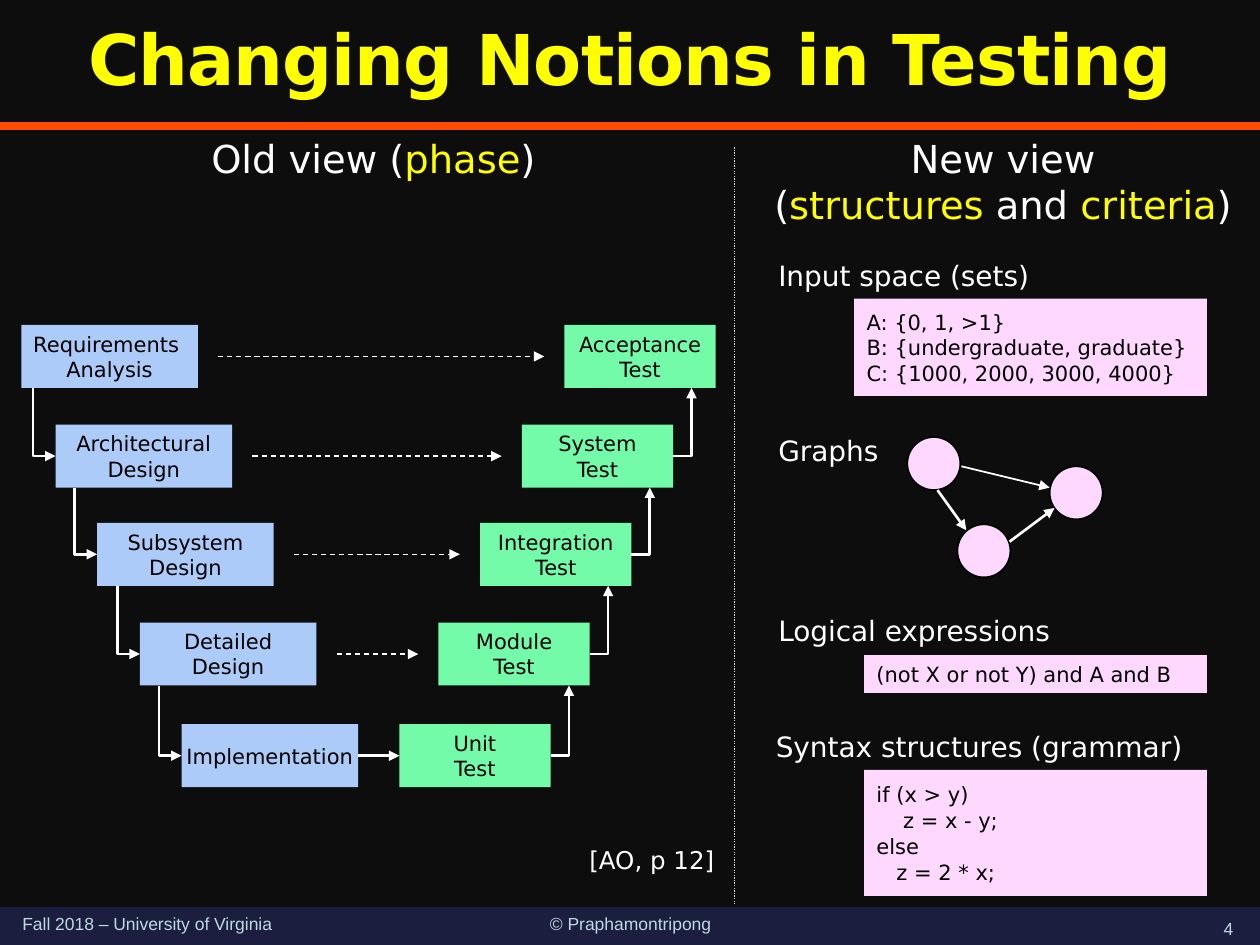
from dataclasses import dataclass
from itertools import pairwise

from lxml.etree import SubElement
from pptx import Presentation
from pptx.dml.color import RGBColor
from pptx.enum.dml import MSO_LINE
from pptx.enum.shapes import MSO_CONNECTOR, MSO_SHAPE
from pptx.enum.text import MSO_ANCHOR, MSO_AUTO_SIZE, PP_ALIGN
from pptx.oxml.ns import qn
from pptx.util import Cm, Pt


@dataclass(frozen=True)
class Theme:
    font: str = "DejaVu Sans"
    footer_font: str = "Arial"
    back: str = "0D0D0D"
    text: str = "FFFFFF"
    accent: str = "FFFF00"
    dark: str = "000000"
    rule: str = "FF4C00"
    band: str = "1B1E3E"
    footer: str = "BDDADF"
    divider: str = "D9D9D9"
    phase: str = "ACCBF9"
    test: str = "73FBA9"
    example: str = "FFD8FF"
    title_size: int = 40
    head_size: int = 22
    label_size: int = 16
    ref_size: int = 14
    box_size: int = 12
    footer_size: int = 10


class Deck:
    """Holds the theme and the current slide, and draws elements in cm."""

    def __init__(self, theme):
        self.t = theme
        self.prs = Presentation()
        self.prs.slide_width, self.prs.slide_height = Cm(25.4), Cm(19.05)
        self.s = self.prs.slides.add_slide(self.prs.slide_layouts[5])
        self.s.background.fill.solid()
        self.s.background.fill.fore_color.rgb = RGBColor.from_string(theme.back)

    def fill_text(self, tf, lines, size, color, align=PP_ALIGN.LEFT, font=None,
                  anchor=MSO_ANCHOR.TOP, wrap=True, spacing=None):
        """Fill a frame; parts between bars take the accent colour."""
        tf.word_wrap = wrap
        tf.vertical_anchor = anchor
        for i, line in enumerate(lines):
            p = tf.add_paragraph() if i else tf.paragraphs[0]
            p.alignment = align
            p.line_spacing = spacing
            for j, part in enumerate(line.split("|")):
                r = p.add_run()
                r.text = part
                r.font.name = font or self.t.font
                r.font.size = Pt(size)
                r.font.color.rgb = RGBColor.from_string(self.t.accent if j % 2 else color)

    def title(self, text, x, y, w, h):
        sp = self.s.shapes.title
        sp.left, sp.top, sp.width, sp.height = Cm(x), Cm(y), Cm(w), Cm(h)
        tf = sp.text_frame
        self.fill_text(tf, [text], self.t.title_size, self.t.accent, PP_ALIGN.CENTER,
                       anchor=MSO_ANCHOR.MIDDLE, spacing=0.9)
        tf.auto_size = MSO_AUTO_SIZE.NONE
        r = tf.paragraphs[0].runs[0]
        r.font.bold = True
        r.font._element.set("spc", "-50")

    def label(self, lines, x, y, w, h, size, color=None, **style):
        sp = self.s.shapes.add_textbox(Cm(x), Cm(y), Cm(w), Cm(h))
        self.fill_text(sp.text_frame, lines, size, color or self.t.text, **style)

    def shape(self, x, y, w, h, fill, kind=MSO_SHAPE.RECTANGLE, outline=None):
        sp = self.s.shapes.add_shape(kind, Cm(x), Cm(y), Cm(w), Cm(h))
        sp.shadow.inherit = False
        sp.fill.solid()
        sp.fill.fore_color.rgb = RGBColor.from_string(fill)
        if outline:
            sp.line.color.rgb = RGBColor.from_string(outline)
            sp.line.width = Pt(1)
        else:
            sp.line.fill.background()
        return sp

    def box(self, lines, x, y, w, h, fill, **style):
        sp = self.shape(x, y, w, h, fill)
        self.fill_text(sp.text_frame, lines, self.t.box_size, self.t.dark,
                       anchor=MSO_ANCHOR.MIDDLE, **style)
        return sp

    def line(self, x1, y1, x2, y2, width=1.5, color=None, dash=None, arrow=None, elbow=False):
        """Draw a line; an elbow leaves its start sideways and ends upright."""
        kind = MSO_CONNECTOR.ELBOW if elbow else MSO_CONNECTOR.STRAIGHT
        cx = self.s.shapes.add_connector(kind, Cm(x1), Cm(y1), Cm(x2), Cm(y2))
        cx.line.color.rgb = RGBColor.from_string(color or self.t.text)
        cx.line.width = Pt(width)
        if dash:
            cx.line.dash_style = dash
        spPr = cx._element.spPr
        if elbow:
            spPr.find(qn("a:prstGeom")).set("prst", "bentConnector2")
        if arrow:
            SubElement(spPr.find(qn("a:ln")), qn(f"a:{arrow}"), type="triangle")
        SubElement(spPr, qn("a:effectLst"))
        return cx


def draw_frame(d):
    t = d.t
    d.title("Changing Notions in Testing", 0, 0, 25.4, 2.54)
    d.line(0, 2.54, 25.4, 2.54, 4.5, t.rule)
    d.shape(0, 18.29, 25.4, 0.76, t.band)
    for text, x, y, w, align, anchor in [
        ("Fall 2018 – University of Virginia", 0.2, 18.29, 6.35, PP_ALIGN.LEFT, MSO_ANCHOR.TOP),
        ("© Praphamontripong", 9.32, 18.29, 6.78, PP_ALIGN.CENTER, MSO_ANCHOR.TOP),
        ("4", 24.13, 18.21, 1.27, PP_ALIGN.CENTER, MSO_ANCHOR.BOTTOM),
    ]:
        d.label([text], x, y, w, 0.84, t.footer_size, t.footer,
                align=align, anchor=anchor, font=t.footer_font)
    d.line(14.81, 2.97, 14.81, 18.21, 0.75, t.divider, MSO_LINE.ROUND_DOT)


def draw_old_view(d):
    t = d.t
    phase_w, test_w, h = 3.56, 3.05, 1.27
    rows = [
        (6.55, 0.43, ["Requirements ", "Analysis"], 11.38, "Acceptance"),
        (8.56, 1.12, ["Architectural", "Design"], 10.52, "System"),
        (10.54, 1.96, ["Subsystem", "Design"], 9.68, "Integration"),
        (12.55, 2.82, ["Detailed", "Design"], 8.84, "Module"),
        (14.6, 3.66, ["Implementation"], 8.05, "Unit"),
    ]
    d.label(["Old view (|phase|)"], 4.01, 2.59, 7.21, 1.19, t.head_size, wrap=False)
    for y, phase_x, phase, test_x, test in rows:
        style = {"align": PP_ALIGN.CENTER, "wrap": False}
        left = d.box(phase, phase_x, y, phase_w, h, t.phase, **style)
        right = d.box([test, "Test"], test_x, y, test_w, h, t.test, **style)
    cx = d.line(0, 0, 1, 1, arrow="tailEnd")
    cx.begin_connect(left, 3)
    cx.end_connect(right, 1)
    for (y, phase_x, _, test_x, _), (next_y, next_phase, _, next_test, _) in pairwise(rows):
        mid, next_mid = y + h / 2, next_y + h / 2
        d.line(phase_x + phase_w + 0.41, mid, test_x - 0.41, mid, 0.75,
               dash=MSO_LINE.DASH, arrow="tailEnd")
        d.line(next_phase, next_mid, next_phase - 0.45, y + h, arrow="headEnd", elbow=True)
        edge = next_test + test_w
        d.line(edge, next_mid, edge + 0.37, y + h, arrow="tailEnd", elbow=True)
    d.label(["[AO, p 12]"], 11.63, 16.92, 3.84, 0.86, t.ref_size)


def draw_new_view(d):
    t = d.t
    d.label(["New view", "(|structures| and |criteria|)"], 15.24, 2.59, 9.96, 2.13,
            t.head_size, align=PP_ALIGN.CENTER, wrap=False)
    for text, x, y in [
        ("Input space (sets)", 15.44, 5.08),
        ("Graphs", 15.44, 8.61),
        ("Logical expressions", 15.44, 12.24),
        ("Syntax structures (grammar)", 15.39, 14.58),
    ]:
        d.label([text], x, y, 9.3, 0.94, t.label_size)
    for lines, x, y, w, h in [
        (["A: {0, 1, >1}", "B: {undergraduate, graduate}", "C: {1000, 2000, 3000, 4000}"],
         17.22, 6.02, 7.11, 1.96),
        (["(not X or not Y) and A and B"], 17.42, 13.21, 6.91, 0.76),
        (["if (x > y)", "    z = x - y;", "else", "   z = 2 * x;"], 17.42, 15.52, 6.91, 2.54),
    ]:
        d.box(lines, x, y, w, h, t.example, spacing=1.03)
    for x, y in [(18.29, 8.81), (21.16, 9.4), (19.3, 10.57)]:
        d.shape(x, y, 1.07, 1.07, t.example, MSO_SHAPE.OVAL, t.dark)
    for *ends, width in [
        (19.38, 9.4, 21.16, 9.83, 1),
        (18.9, 9.88, 19.48, 10.69, 1.5),
        (20.35, 10.92, 21.26, 10.24, 1.5),
    ]:
        d.line(*ends, width, arrow="tailEnd")


def main():
    d = Deck(Theme())
    draw_frame(d)
    draw_old_view(d)
    draw_new_view(d)
    d.prs.save("out.pptx")


if __name__ == "__main__":
    main()
